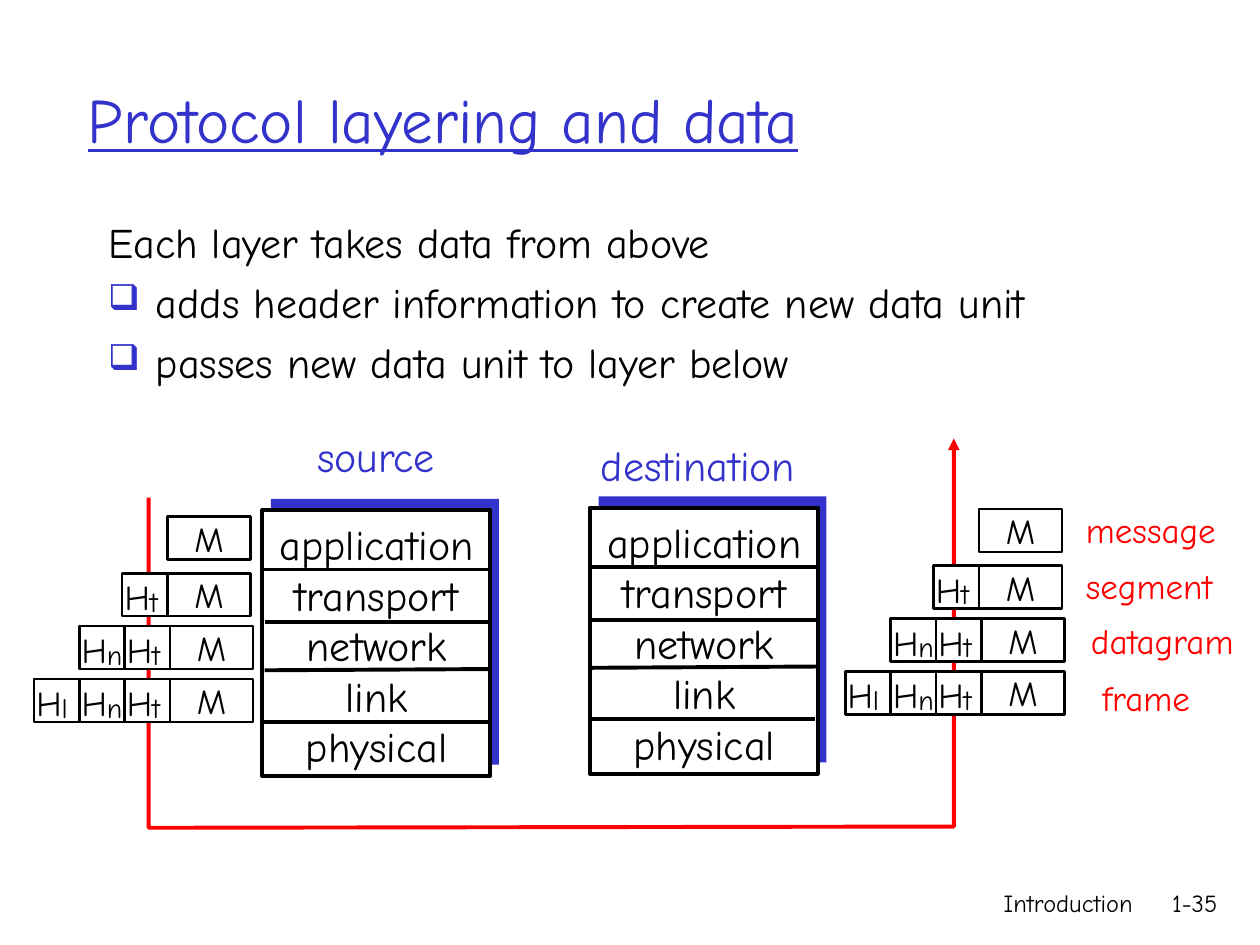
from lxml import etree
from pptx import Presentation
from pptx.dml.color import RGBColor
from pptx.enum import shapes as kinds, text as styles
from pptx.oxml.ns import qn
from pptx.util import Inches, Pt

FONT = "Comic Neue"
BLACK = RGBColor(0x00, 0x00, 0x00)
WHITE = RGBColor(0xFF, 0xFF, 0xFF)
BLUE = RGBColor(0x33, 0x33, 0xCC)
RED = RGBColor(0xFF, 0x00, 0x00)
CENTER = styles.PP_ALIGN.CENTER
RIGHT = styles.PP_ALIGN.RIGHT

LAYERS = ["application", "transport", "network", "link", "physical"]
# Offsets from the top left of the stack: left, start height, end height
DIVIDERS = [(0, 0.47, 0.47), (0.02, 0.89, 0.89), (0.02, 1.27, 1.26), (-0.01, 1.68, 1.68)]
# Offsets of each message box, and the headers in front of it from right to left
UNITS = [(0, 0, ""), (0, 0.45, "t"), (0.02, 0.87, "tn"), (0.02, 1.29, "tnl")]
UNIT_NAMES = [("message", 8.52, 3.99, 1.28), ("segment", 8.52, 4.43, 1.28),
              ("datagram", 8.56, 4.87, 1.42), ("frame", 8.65, 5.32, 0.99)]


def write(frame, lines, size, color=BLACK, align=None, **font_format):
    for index, line in enumerate(lines):
        paragraph = frame.paragraphs[0] if index == 0 else frame.add_paragraph()
        paragraph.alignment = align
        run = paragraph.add_run()
        run.text = line
        values = {"name": FONT, "size": Pt(size), **font_format}
        for name, value in values.items():
            setattr(run.font, name, value)
        run.font.color.rgb = color


def add_text(slide, box, lines, size, color=BLACK, align=None, wrap=True, **font_format):
    frame = slide.shapes.add_textbox(*map(Inches, box)).text_frame
    frame.word_wrap = wrap
    write(frame, lines, size, color, align, **font_format)
    return frame


def add_box(slide, box, fill=WHITE, line_width=None):
    shape = slide.shapes.add_shape(kinds.MSO_SHAPE.RECTANGLE, *map(Inches, box))
    shape.shadow.inherit = False
    shape.fill.solid()
    shape.fill.fore_color.rgb = fill
    if line_width:
        shape.line.color.rgb = BLACK
        shape.line.width = Pt(line_width)
    else:
        shape.line.fill.background()
    return shape


def add_bullet(paragraph):
    properties = paragraph._p.get_or_add_pPr()
    color = etree.SubElement(properties, qn("a:buClr"))
    etree.SubElement(color, qn("a:srgbClr"), val=str(BLUE))
    etree.SubElement(properties, qn("a:buSzPct"), val="85000")
    etree.SubElement(properties, qn("a:buChar"), char="❑")


def add_heading(slide, box):
    frame = add_text(slide, box, ["Protocol layering and data"], 36, BLUE, underline=True)
    frame.vertical_anchor = styles.MSO_ANCHOR.MIDDLE


def add_body(slide, box):
    frame = add_text(slide, box, ["Each layer takes data from above",
                                  "adds header information to create new data unit",
                                  "passes new data unit to layer below"], 24)
    for paragraph in frame.paragraphs:
        paragraph.space_before = Pt(5.5)
    for paragraph in frame.paragraphs[1:]:
        properties = paragraph._p.get_or_add_pPr()
        properties.set("marL", str(Inches(0.38)))
        properties.set("indent", str(-Inches(0.38)))
        add_bullet(paragraph)


def add_stack(slide, left, top):
    """Draw the five protocol layers with a solid block behind them."""
    width, height = 1.81, 2.11
    add_box(slide, (left + 0.07, top - 0.09, width, height), BLUE)
    add_box(slide, (left, top, width, height), line_width=2.25)
    for offset, start, end in DIVIDERS:
        x = left + offset
        divider = slide.shapes.add_connector(
            kinds.MSO_CONNECTOR.STRAIGHT,
            *map(Inches, (x, top + start, x + 1.8, top + end)))
        divider.line.color.rgb = BLACK
        divider.line.width = Pt(2.25)
        etree.SubElement(divider._element.spPr, qn("a:effectLst"))
    add_text(slide, (left - 0.02, top + 0.02, 1.86, 2.1), LAYERS, 24,
             align=CENTER, wrap=False)


def add_data_path(slide, left, top, right, bottom):
    """Draw the arrow down from the source and up to the destination."""
    start, *points = [(Inches(x), Inches(y)) for x, y in
                      [(left, top + 0.47), (left, bottom), (right, bottom - 0.01), (right, top)]]
    builder = slide.shapes.build_freeform(*start)
    builder.add_line_segments(points, close=False)
    arrow = builder.convert_to_shape()
    arrow.shadow.inherit = False
    arrow.fill.background()
    arrow.line.color.rgb = RED
    arrow.line.width = Pt(2.25)
    etree.SubElement(arrow.line._get_or_add_ln(), qn("a:tailEnd"), type="triangle")


def add_header(slide, left, top, width, height, subscript):
    add_box(slide, (left, top, width, height), line_width=1.5)
    add_text(slide, (left - 0.08, top - 0.03, 0.34, 0.43), ["H"], 20)
    add_text(slide, (left + 0.12, top + 0.04, 0.32, 0.37), [subscript], 16)


def add_data_units(slide, left, top):
    """Draw the message and the headers that each layer puts before it."""
    header_width, height = 0.36, 0.34
    for x_offset, y_offset, headers in UNITS:
        x, y = left + x_offset, top + y_offset
        message = add_box(slide, (x, y, 0.66, height), line_width=1.5)
        message.text_frame.word_wrap = False
        message.text_frame.vertical_anchor = styles.MSO_ANCHOR.MIDDLE
        write(message.text_frame, ["M"], 20, align=CENTER)
        for position, subscript in enumerate(headers, 1):
            add_header(slide, x - position * header_width, y, header_width, height, subscript)


def add_footer(slide, top):
    add_text(slide, (5.92, top, 3.17, 0.5), ["Introduction"], 14, align=RIGHT)
    add_text(slide, (9.08, top, 0.68, 0.5), ["1-35"], 14, align=RIGHT)


def main():
    presentation = Presentation()
    presentation.slide_width = Inches(10)
    presentation.slide_height = Inches(7.5)
    slide = presentation.slides.add_slide(presentation.slide_layouts[6])

    add_footer(slide, 7)
    add_heading(slide, (0.6, 0.31, 8.5, 1.25))
    add_body(slide, (0.76, 1.67, 8.5, 1.66))
    add_stack(slide, 2.08, 4.05)
    add_stack(slide, 4.68, 4.03)
    add_text(slide, (2.42, 3.37, 1.23, 0.5), ["source"], 24, BLUE, wrap=False)
    add_text(slide, (4.67, 3.44, 1.94, 0.5), ["destination"], 24, BLUE, wrap=False)
    add_data_path(slide, 1.18, 3.48, 7.57, 6.57)
    add_data_units(slide, 1.33, 4.1)
    add_data_units(slide, 7.77, 4.04)
    for name, left, top, width in UNIT_NAMES:
        add_text(slide, (left, top, width, 0.43), [name], 20, RED, wrap=False)

    presentation.save("out.pptx")


if __name__ == "__main__":
    main()
